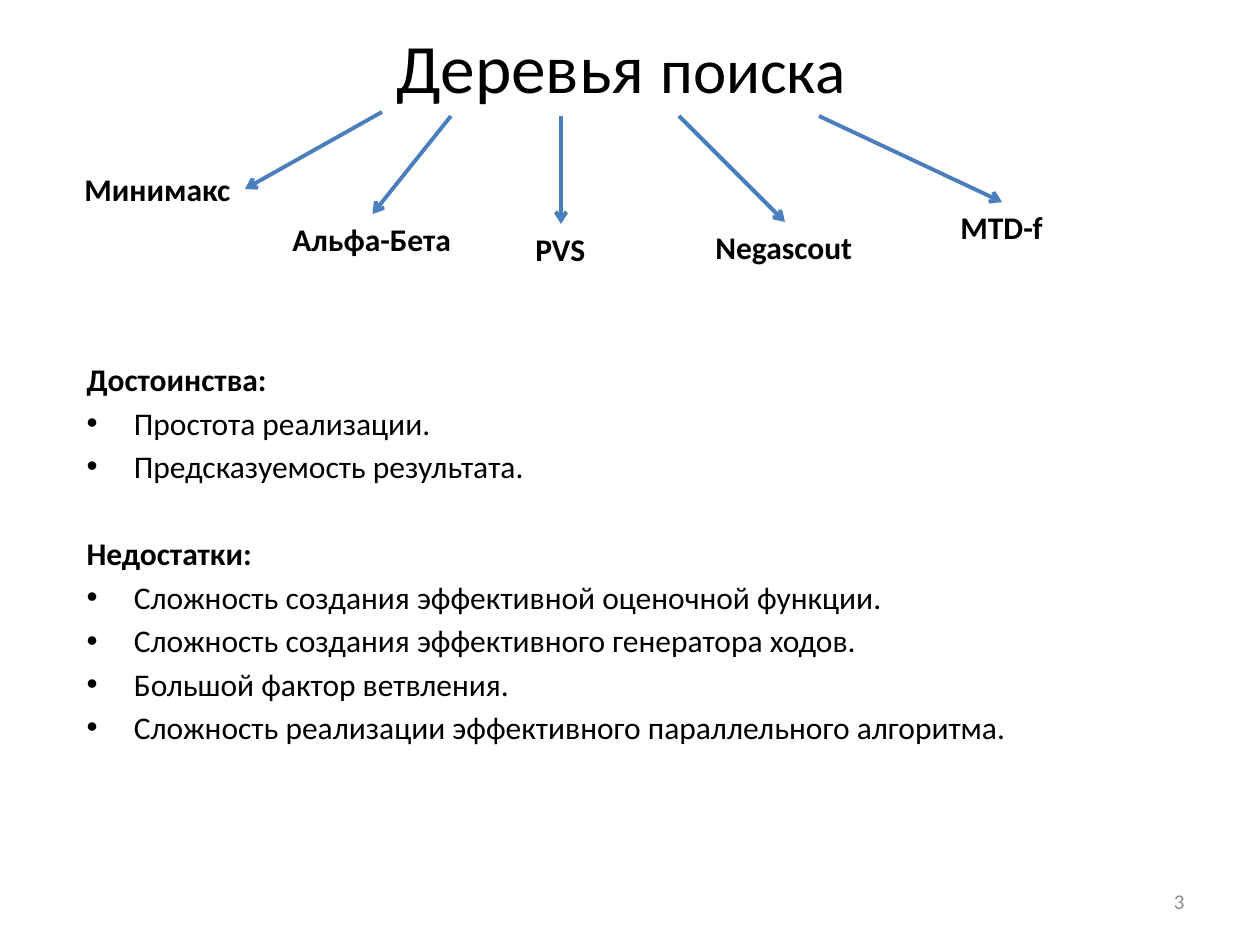
from dataclasses import dataclass

from lxml import etree
from pptx import Presentation
from pptx.dml.color import RGBColor
from pptx.enum.shapes import MSO_CONNECTOR
from pptx.enum.text import MSO_ANCHOR, MSO_AUTO_SIZE, PP_ALIGN
from pptx.oxml.ns import qn
from pptx.util import Pt

STRAIGHT = MSO_CONNECTOR.STRAIGHT
MIDDLE, TOP_ANCHOR = MSO_ANCHOR.MIDDLE, MSO_ANCHOR.TOP
NO_FIT = MSO_AUTO_SIZE.NONE
LEFT, CENTER, RIGHT = PP_ALIGN.LEFT, PP_ALIGN.CENTER, PP_ALIGN.RIGHT
TOP_SIDE, RIGHT_SIDE = 0, 3
EMU_PER_INCH, PX_PER_INCH = 914400, 126


@dataclass(frozen=True)
class Theme:
    """Colours, font and type sizes of the slide."""
    font: str = "Calibri"
    ink: str = "000000"
    muted: str = "8C8C8C"
    accent: str = "4B7EBC"
    title: float = 39.6
    subtitle: float = 36
    body: float = 18
    footer: float = 12
    arrow: float = 2.25
    line_gap: float = 3.2
    section_gap: float = 28.3


THEME = Theme()


def px(length):
    """Turn pixels into EMU."""
    return round(length * EMU_PER_INCH / PX_PER_INCH)


def write(paragraph, text, size=THEME.body, color=THEME.ink, bold=False, align=LEFT):
    """Add a formatted run to a paragraph."""
    paragraph.alignment = align
    run = paragraph.add_run()
    run.text = text
    run.font.name = THEME.font
    run.font.size = Pt(size)
    run.font.bold = bold
    run.font.color.rgb = RGBColor.from_string(color)


class SlideBuilder:
    """Places styled elements on the current slide."""

    def __init__(self, slide, theme):
        """Keep the slide and its style."""
        self.slide = slide
        self.theme = theme

    def place(self, holder, left, top, width, height, anchor):
        """Move a placeholder and return its text frame."""
        holder.left, holder.top = px(left), px(top)
        holder.width, holder.height = px(width), px(height)
        frame = holder.text_frame
        frame.auto_size = NO_FIT
        frame.vertical_anchor = anchor
        return frame

    def title(self, parts, *box):
        """Write the title from (text, size) parts."""
        frame = self.place(self.slide.shapes.title, *box, MIDDLE)
        for text, size in parts:
            write(frame.paragraphs[0], text, size=size, align=CENTER)

    def sections(self, sections, *box):
        """Fill the body with headings, each followed by its bulleted points."""
        frame = self.place(self.slide.placeholders[1], *box, TOP_ANCHOR)
        for index, (heading, points) in enumerate(sections):
            paragraph = frame.add_paragraph() if index else frame.paragraphs[0]
            paragraph.space_before = Pt(self.theme.section_gap if index else 0)
            properties = paragraph._p.get_or_add_pPr()
            properties.set("marL", "0")
            properties.set("indent", "0")
            etree.SubElement(properties, qn("a:buNone"))
            write(paragraph, heading, bold=True)
            for point in points:
                paragraph = frame.add_paragraph()
                paragraph.space_before = Pt(self.theme.line_gap)
                write(paragraph, point)

    def label(self, text, left, top, width, height=50, wrap=False, anchor=TOP_ANCHOR, **style):
        """Add a one-line text box."""
        box = self.slide.shapes.add_textbox(px(left), px(top), px(width), px(height))
        box.text_frame.word_wrap = wrap
        box.text_frame.vertical_anchor = anchor
        write(box.text_frame.paragraphs[0], text, **style)
        return box

    def arrow(self, start_x, start_y, target, side):
        """Draw an arrow from a point to the middle of a side of the target."""
        start = px(start_x), px(start_y)
        line = self.slide.shapes.add_connector(STRAIGHT, *start, *start)
        line.end_connect(target, side)
        line.line.color.rgb = RGBColor.from_string(self.theme.accent)
        line.line.width = Pt(self.theme.arrow)
        etree.SubElement(line.line._get_or_add_ln(), qn("a:tailEnd"), type="arrow")
        etree.SubElement(line._element.spPr, qn("a:effectLst"))


def main():
    """Build the search tree slide and save it."""
    deck = Presentation()
    deck.slide_width, deck.slide_height = px(1260), px(945)
    builder = SlideBuilder(deck.slides.add_slide(deck.slide_layouts[1]), THEME)

    builder.title([("Деревья ", THEME.title), ("поиска", THEME.subtitle)], 343, 26, 556, 79)
    builder.sections([
        ("Достоинства:", ["Простота реализации.", "Предсказуемость результата."]),
        ("Недостатки:", [
            "Сложность создания эффективной оценочной функции.",
            "Сложность создания эффективного генератора ходов.",
            "Большой фактор ветвления.",
            "Сложность реализации эффективного параллельного алгоритма.",
        ]),
    ], 74, 354, 1111, 430)

    algorithms = [
        ("Минимакс", 72, 164, 173, 382, 112, RIGHT_SIDE),
        ("Альфа-Бета", 280, 214, 185, 451, 116, TOP_SIDE),
        ("PVS", 523, 224, 76, 561, 116, TOP_SIDE),
        ("Negascout", 703, 222, 164, 679, 116, TOP_SIDE),
        ("MTD-f", 948, 202, 108, 819, 116, TOP_SIDE),
    ]
    for name, left, top, width, start_x, start_y, side in algorithms:
        algorithm = builder.label(name, left, top, width, bold=True)
        builder.arrow(start_x, start_y, algorithm, side)

    builder.label("3", 903, 876, 294, wrap=True, anchor=MIDDLE,
                  size=THEME.footer, color=THEME.muted, align=RIGHT)
    deck.save("out.pptx")


if __name__ == "__main__":
    main()
